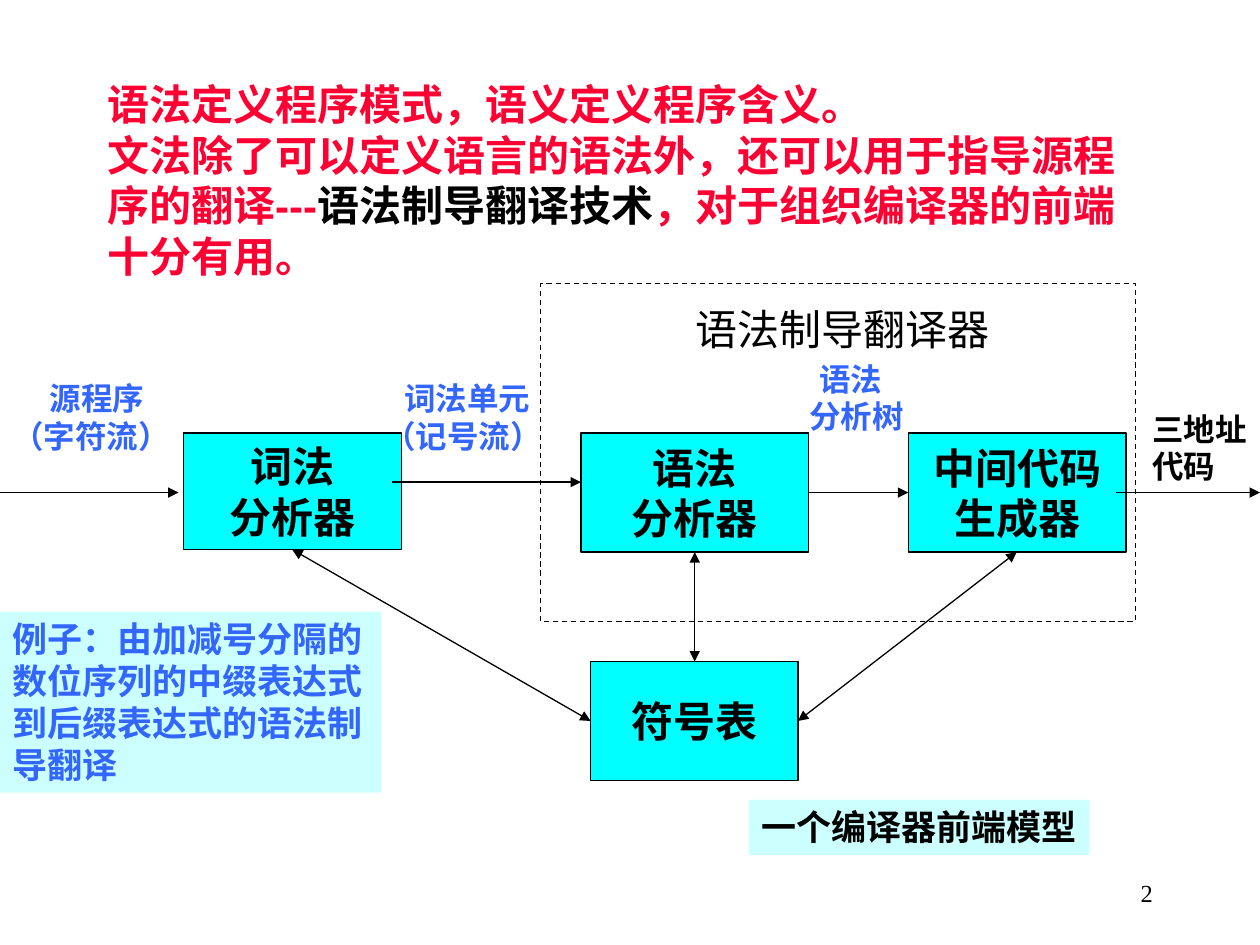
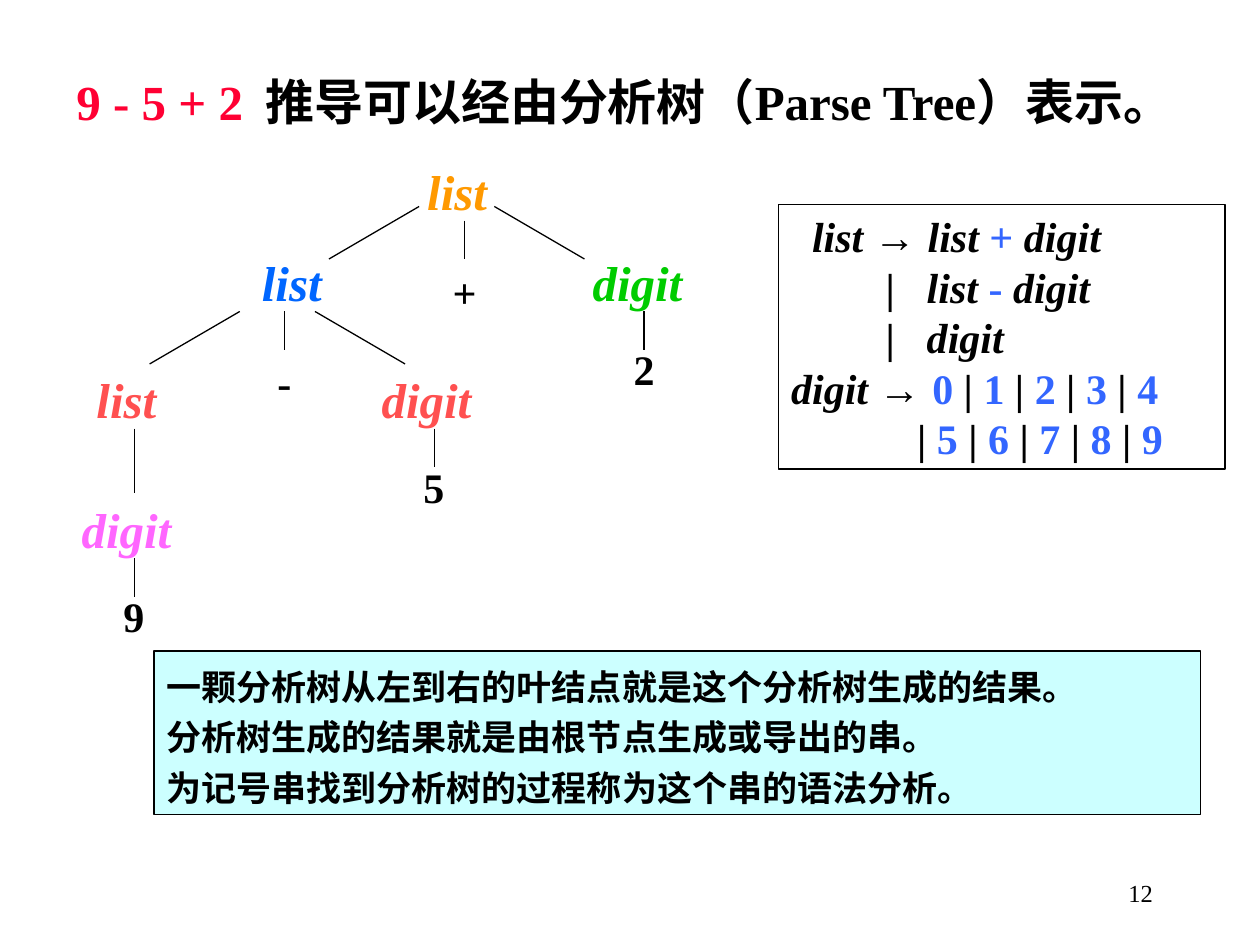
from dataclasses import dataclass
from typing import Optional

from lxml import etree
from pptx import Presentation
from pptx.dml.color import RGBColor
from pptx.enum.dml import MSO_LINE
from pptx.enum.shapes import MSO_CONNECTOR, MSO_SHAPE
from pptx.enum.text import MSO_ANCHOR, MSO_AUTO_SIZE, PP_ALIGN
from pptx.oxml.ns import qn
from pptx.util import Pt

LEFT, CENTER, RIGHT = PP_ALIGN.LEFT, PP_ALIGN.CENTER, PP_ALIGN.RIGHT
TOP, MIDDLE = MSO_ANCHOR.TOP, MSO_ANCHOR.MIDDLE
DASH, RECT, STRAIGHT = MSO_LINE.DASH, MSO_SHAPE.RECTANGLE, MSO_CONNECTOR.STRAIGHT
NO_AUTOFIT = MSO_AUTO_SIZE.NONE

BLACK = RGBColor(0x00, 0x00, 0x00)
RED = RGBColor(0xFF, 0x00, 0x33)
BLUE = RGBColor(0x33, 0x66, 0xFF)
CYAN = RGBColor(0x00, 0xFF, 0xFF)
PALE_CYAN = RGBColor(0xCC, 0xFF, 0xFF)
ORANGE = RGBColor(0xFF, 0x99, 0x00)
GREEN = RGBColor(0x00, 0xCC, 0x00)
CORAL = RGBColor(0xFF, 0x50, 0x50)
SKY = RGBColor(0x00, 0x66, 0xFF)
PINK = RGBColor(0xFF, 0x66, 0xFF)

SERIF, SANS = "Times New Roman", "Arial"
LINE_WIDTH = 0.75


@dataclass(frozen=True)
class Run:
    text: str
    size: float = 24
    color: RGBColor = BLACK
    bold: bool = True
    italic: bool = False
    font: str = SERIF


@dataclass(frozen=True)
class Para:
    runs: tuple[Run, ...]
    align: PP_ALIGN = LEFT
    margin: float = 0
    hanging: float = 0
    tab: Optional[float] = None
    spacing: Optional[float] = None


@dataclass(frozen=True)
class Box:
    left: float
    top: float
    width: float
    height: float
    paras: tuple[Para, ...] = ()
    fill: Optional[RGBColor] = None
    outlined: bool = False
    dashed: bool = False
    anchor: MSO_ANCHOR = TOP
    wrap: bool = True


@dataclass(frozen=True)
class Line:
    x1: float
    y1: float
    x2: float
    y2: float
    head: bool = False
    tail: bool = False


def lines(*texts: str, align: PP_ALIGN = LEFT, margins: tuple[float, ...] = (),
          spacing: Optional[float] = None, **style) -> tuple[Para, ...]:
    """One single-run paragraph for each text, all in one style."""
    margins = margins or (0,) * len(texts)
    return tuple(Para((Run(t, **style),), align, m, spacing=spacing)
                 for t, m in zip(texts, margins))


def write(tf, paras: tuple[Para, ...], anchor: MSO_ANCHOR, wrap: bool) -> None:
    tf.auto_size = NO_AUTOFIT
    tf.word_wrap = wrap
    tf.vertical_anchor = anchor
    for i, para in enumerate(paras):
        p = tf.paragraphs[0] if i == 0 else tf.add_paragraph()
        p.alignment = para.align
        if para.spacing:
            p.line_spacing = para.spacing
        pPr = p._p.get_or_add_pPr()
        pPr.set("marL", str(Pt(para.margin)))
        pPr.set("indent", str(-Pt(para.hanging)))
        if para.tab:
            tabs = etree.SubElement(pPr, qn("a:tabLst"))
            etree.SubElement(tabs, qn("a:tab"), pos=str(Pt(para.tab)), algn="l")
        for run in para.runs:
            r = p.add_run()
            r.text = run.text
            r.font.name = run.font
            r.font.size = Pt(run.size)
            r.font.bold = run.bold
            r.font.italic = run.italic
            r.font.color.rgb = run.color


def add_box(s, box: Box) -> None:
    frame = [Pt(v) for v in (box.left, box.top, box.width, box.height)]
    if box.fill is None and not box.outlined:
        sp = s.shapes.add_textbox(*frame)
    else:
        sp = s.shapes.add_shape(RECT, *frame)
        sp.shadow.inherit = False
        if box.fill is None:
            sp.fill.background()
        else:
            sp.fill.solid()
            sp.fill.fore_color.rgb = box.fill
        if box.outlined:
            sp.line.color.rgb = BLACK
            sp.line.width = Pt(LINE_WIDTH)
            if box.dashed:
                sp.line.dash_style = DASH
        else:
            sp.line.fill.background()
    write(sp.text_frame, box.paras, box.anchor, box.wrap)


def add_line(s, line: Line) -> None:
    c = s.shapes.add_connector(STRAIGHT, *(Pt(v) for v in (line.x1, line.y1, line.x2, line.y2)))
    c.line.color.rgb = BLACK
    c.line.width = Pt(LINE_WIDTH)
    ln = c.line._get_or_add_ln()
    for wanted, tag in ((line.head, "a:headEnd"), (line.tail, "a:tailEnd")):
        if wanted:
            etree.SubElement(ln, qn(tag), type="triangle")
    etree.SubElement(c._element.spPr, qn("a:effectLst"))


def new_slide(prs, title: Box, number: str):
    """A title-only slide with its title placed and its page number."""
    s = prs.slides.add_slide(prs.slide_layouts[5])
    sp = s.shapes.title
    sp.left, sp.top = Pt(title.left), Pt(title.top)
    sp.width, sp.height = Pt(title.width), Pt(title.height)
    write(sp.text_frame, title.paras, title.anchor, title.wrap)
    add_box(s, Box(516, 492, 150, 36, lines(number, align=RIGHT, size=14, bold=False),
                   anchor=MIDDLE))
    return s


def front_end_slide(prs) -> None:
    red = dict(color=RED, font=SANS)
    s = new_slide(prs, Box(54, 31.5, 612, 142.5, (
        Para((Run("语法定义程序模式，语义定义程序含义。", **red),)),
        Para((Run("文法除了可以定义语言的语法外，还可以用于指导源程序的翻译---", **red),
              Run("语法制导翻译技术", font=SANS),
              Run("，对于组织编译器的前端十分有用。", **red))),
    ), anchor=MIDDLE), "2")

    add_box(s, Box(309, 162, 340, 193, outlined=True, dashed=True))
    add_box(s, Box(382, 168, 199, 39.5, lines("语法制导翻译器", align=CENTER, bold=False),
                   anchor=MIDDLE, wrap=False))

    stages = (
        (105, 247.5, 124.5, 66.5, ("词法", "分析器")),
        (332, 247.5, 130, 68, ("语法", "分析器")),
        (519, 247.5, 124.5, 68, ("中间代码", "生成器")),
        (337.5, 378, 118.5, 68, ("符号表",)),
    )
    for left, top, width, height, words in stages:
        add_box(s, Box(left, top, width, height, lines(*words, align=CENTER),
                       CYAN, outlined=True, anchor=MIDDLE, wrap=False))

    flow_labels = (
        (0, 213, 105, BLUE, ("源程序", "（字符流）"), (21.5, 0)),
        (212.5, 213, 104.5, BLUE, ("词法单元", "（记号流）"), (11.5, 0)),
        (451, 202, 72, BLUE, ("语法", "分析树"), (10, 4.5)),
        (651.5, 230.5, 69, BLACK, ("三地址", "代码"), (0, 0)),
    )
    for left, top, width, color, words, margins in flow_labels:
        add_box(s, Box(left, top, width, 52, wrap=False,
                       paras=lines(*words, margins=margins, size=18, color=color)))

    for x1, x2, y in ((0, 102, 281.5), (224, 332, 275.5), (451 + 11, 519, 281.5),
                      (638, 720, 281.5)):
        add_line(s, Line(x1, y, x2, y, tail=True))
    for ends in ((397, 315.5, 397, 378), (167, 314, 337.5, 412), (456, 412, 581, 315.5)):
        add_line(s, Line(*ends, head=True, tail=True))

    add_box(s, Box(428, 457, 194.5, 31.5, lines("一个编译器前端模型", size=20),
                   PALE_CYAN, wrap=False))
    add_box(s, Box(0, 349.5, 218, 103.5, lines(
        "例子：由加减号分隔的数位序列的中缀表达式到后缀表达式的语法制导翻译",
        size=20, color=BLUE), PALE_CYAN))


def digit_runs(digits: str) -> tuple[Run, ...]:
    """Blue digits with black bars between them."""
    runs = [Run(digits[0], color=BLUE)]
    for d in digits[1:]:
        runs += [Run(" | "), Run(d, color=BLUE)]
    return tuple(runs)


def grammar_paras() -> tuple[Para, ...]:
    arrow, bar = Run("→ ", font=SANS), Run("|\t")
    list_, digit = Run("list ", italic=True), Run("digit", italic=True)
    plus, minus = Run("+ ", color=BLUE), Run("- ", color=BLUE)
    bar_row = dict(margin=77.5, hanging=23.5)
    return (
        Para((list_, arrow, list_, plus, digit), margin=12),
        Para((bar, list_, minus, digit), **bar_row),
        Para((bar, digit), **bar_row),
        Para((Run("digit ", italic=True), arrow) + digit_runs("01234")),
        Para((Run("| "),) + digit_runs("56789"), margin=72),
    )


def parse_tree_slide(prs) -> None:
    s = new_slide(prs, Box(36.5, 37.5, 658, 75, (
        Para((Run("9 - 5 + 2\t", 28, RED), Run("推导可以经由分析树（Parse Tree）表示。", 28)),
             tab=116),)), "12")

    nonterminals = (
        ("list", 214, 88.5, ORANGE), ("list", 119.5, 140.5, SKY), ("digit", 317, 140.5, GREEN),
        ("list", 25, 207.5, CORAL), ("digit", 196.5, 207.5, CORAL), ("digit", 25, 282, PINK),
    )
    for word, left, top, color in nonterminals:
        add_box(s, Box(left, top, 94.5, 41, lines(word, align=CENTER, size=28, color=color,
                                                  italic=True)))
    terminals = (("9", 51, 334), ("5", 222.5, 260), ("2", 342.5, 193),
                 ("-", 137, 200), ("+", 240, 148.5))
    for symbol, left, top in terminals:
        add_box(s, Box(left, top, 51, 36, lines(symbol, align=CENTER)))

    for parent_x, y in ((261, 118), (158.5, 178)):
        for side in (-1, 1):
            add_line(s, Line(parent_x + side * 21.5, y, parent_x + side * 73, y + 30))
    for x, y, length in ((265.5, 126, 22), (162.5, 178, 22), (368, 178, 22),
                         (77, 245, 37), (248.5, 245, 22), (77, 319, 22)):
        add_line(s, Line(x, y, x, y + length))

    add_box(s, Box(445, 117, 255, 151, grammar_paras(), outlined=True))
    add_box(s, Box(88, 372, 598, 93.5, lines(
        "一颗分析树从左到右的叶结点就是这个分析树生成的结果。",
        "分析树生成的结果就是由根节点生成或导出的串。",
        "为记号串找到分析树的过程称为这个串的语法分析。",
        size=20, spacing=1.2), PALE_CYAN, outlined=True))


def main() -> None:
    prs = Presentation()
    prs.slide_width, prs.slide_height = Pt(720), Pt(540)
    front_end_slide(prs)
    parse_tree_slide(prs)
    prs.save("out.pptx")


if __name__ == "__main__":
    main()
